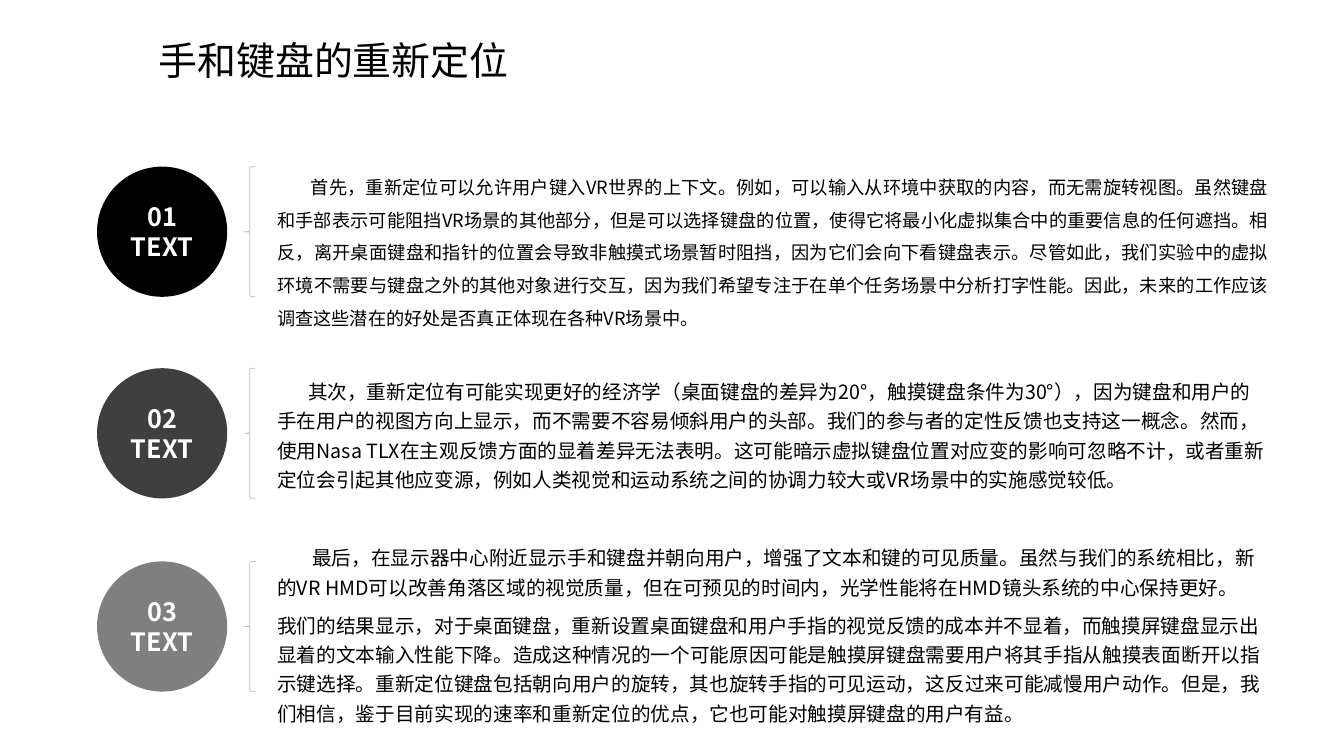
from pptx import Presentation
from pptx.dml.color import RGBColor
from pptx.enum.shapes import MSO_SHAPE
from pptx.enum.text import MSO_ANCHOR, PP_ALIGN
from pptx.oxml.ns import qn
from pptx.util import Pt
from lxml.etree import SubElement

FONT = "Noto Sans CJK SC"
COLORS = {"black": "000000", "dark": "3F3F3F", "gray": "7F7F7F", "brace": "BFBFBF", "white": "FFFFFF"}
TITLE = "手和键盘的重新定位"
POINTS = [
    {"number": "01", "color": "black", "top": 119, "text_top": 114.5, "text_height": 164,
     "size": 13, "spacing": 1.5, "indent": 24, "align": PP_ALIGN.JUSTIFY,
     "paragraphs": [
         "首先，重新定位可以允许用户键入VR世界的上下文。例如，可以输入从环境中获取的内容，而无需旋转视图。虽然键盘和手部表示可能阻挡VR场景的其他部分，但是可以选择键盘的位置，使得它将最小化虚拟集合中的重要信息的任何遮挡。相反，离开桌面键盘和指针的位置会导致非触摸式场景暂时阻挡，因为它们会向下看键盘表示。尽管如此，我们实验中的虚拟环境不需要与键盘之外的其他对象进行交互，因为我们希望专注于在单个任务场景中分析打字性能。因此，未来的工作应该调查这些潜在的好处是否真正体现在各种VR场景中。"]},
    {"number": "02", "color": "dark", "top": 263, "text_top": 263.5, "text_height": 102,
     "size": 14, "spacing": 1.25, "indent": 22, "align": PP_ALIGN.LEFT,
     "paragraphs": [
         "其次，重新定位有可能实现更好的经济学（桌面键盘的差异为20°，触摸键盘条件为30°），因为键盘和用户的手在用户的视图方向上显示，而不需要不容易倾斜用户的头部。我们的参与者的定性反馈也支持这一概念。然而，使用Nasa TLX在主观反馈方面的显着差异无法表明。这可能暗示虚拟键盘位置对应变的影响可忽略不计，或者重新定位会引起其他应变源，例如人类视觉和运动系统之间的协调力较大或VR场景中的实施感觉较低。"]},
    {"number": "03", "color": "gray", "top": 401, "text_top": 382.5, "text_height": 186,
     "size": 14, "spacing": 1.25, "indent": 25, "align": PP_ALIGN.LEFT,
     "paragraphs": [
         "最后，在显示器中心附近显示手和键盘并朝向用户，增强了文本和键的可见质量。虽然与我们的系统相比，新的VR HMD可以改善角落区域的视觉质量，但在可预见的时间内，光学性能将在HMD镜头系统的中心保持更好。",
         "我们的结果显示，对于桌面键盘，重新设置桌面键盘和用户手指的视觉反馈的成本并不显着，而触摸屏键盘显示出显着的文本输入性能下降。造成这种情况的一个可能原因可能是触摸屏键盘需要用户将其手指从触摸表面断开以指示键选择。重新定位键盘包括朝向用户的旋转，其也旋转手指的可见运动，这反过来可能减慢用户动作。但是，我们相信，鉴于目前实现的速率和重新定位的优点，它也可能对触摸屏键盘的用户有益。"]},
]
CIRCLE_LEFT, CIRCLE_SIZE = 69.3, 93
BRACE_LEFT, BRACE_WIDTH = 174.5, 8
TEXT_LEFT, TEXT_WIDTH = 194.5, 715
INSET = 3.6


def color(name):
    return RGBColor.from_string(COLORS[name])


def fill_frame(frame, paragraphs, size, ink="black", bold=False, align=PP_ALIGN.LEFT,
               anchor=MSO_ANCHOR.MIDDLE, spacing=1.0, indent=0, gap=0):
    frame.word_wrap = True
    frame.vertical_anchor = anchor
    frame.margin_left = frame.margin_right = frame.margin_top = frame.margin_bottom = Pt(INSET)
    for index, text in enumerate(paragraphs):
        paragraph = frame.paragraphs[0] if index == 0 else frame.add_paragraph()
        paragraph.text = text
        paragraph.alignment = align
        paragraph.line_spacing = spacing
        if index:
            paragraph.space_before = Pt(gap)
        elif indent:
            properties = paragraph._p.get_or_add_pPr()
            properties.set("marL", "0")
            properties.set("indent", str(Pt(indent)))
        font = paragraph.font
        font.name, font.size, font.bold = FONT, Pt(size), bold
        font.color.rgb = color(ink)
        SubElement(font._element, qn("a:ea")).set("typeface", FONT)


presentation = Presentation()
presentation.slide_width, presentation.slide_height = Pt(960), Pt(540)
slide = presentation.slides.add_slide(presentation.slide_layouts[6])
shapes = slide.shapes

title = shapes.add_textbox(Pt(109.5), Pt(19.5), Pt(560), Pt(46))
fill_frame(title.text_frame, [TITLE], 27.8)

for point in POINTS:
    top = Pt(point["top"])
    circle = shapes.add_shape(MSO_SHAPE.OVAL, Pt(CIRCLE_LEFT), top, Pt(CIRCLE_SIZE), Pt(CIRCLE_SIZE))
    circle.shadow.inherit = False
    circle.fill.solid()
    circle.fill.fore_color.rgb = color(point["color"])
    circle.line.fill.background()
    fill_frame(circle.text_frame, [point["number"], "TEXT"], 18, "white", True, PP_ALIGN.CENTER)

    brace = shapes.add_shape(MSO_SHAPE.LEFT_BRACE, Pt(BRACE_LEFT), top, Pt(BRACE_WIDTH), Pt(CIRCLE_SIZE))
    brace.shadow.inherit = False
    brace.fill.background()
    brace.line.color.rgb = color("brace")
    brace.line.width = Pt(0.5)

    body = shapes.add_textbox(Pt(TEXT_LEFT), Pt(point["text_top"]), Pt(TEXT_WIDTH), Pt(point["text_height"]))
    fill_frame(body.text_frame, point["paragraphs"], point["size"], align=point["align"],
               anchor=MSO_ANCHOR.TOP, spacing=point["spacing"], indent=point["indent"], gap=6)

presentation.save("out.pptx")
